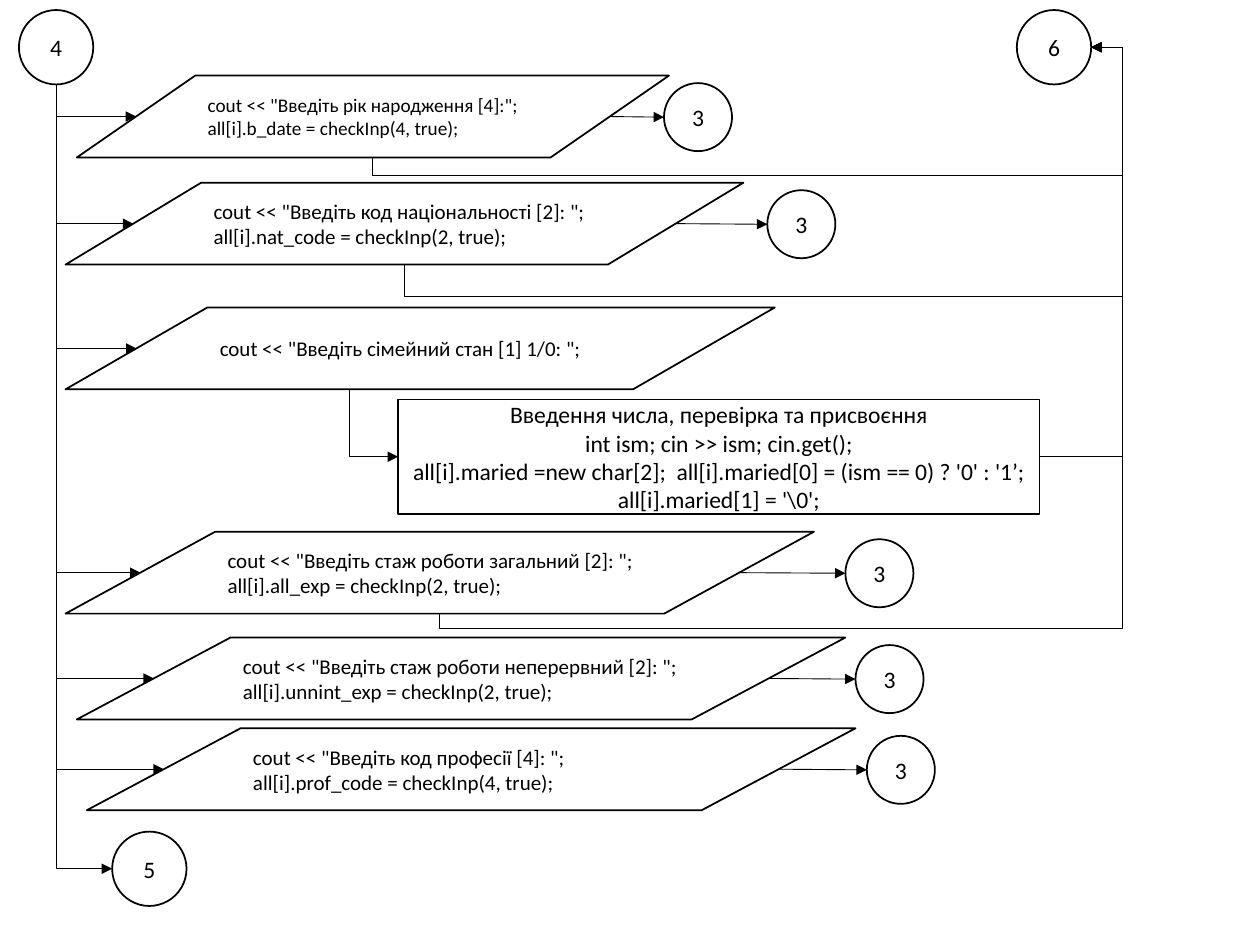
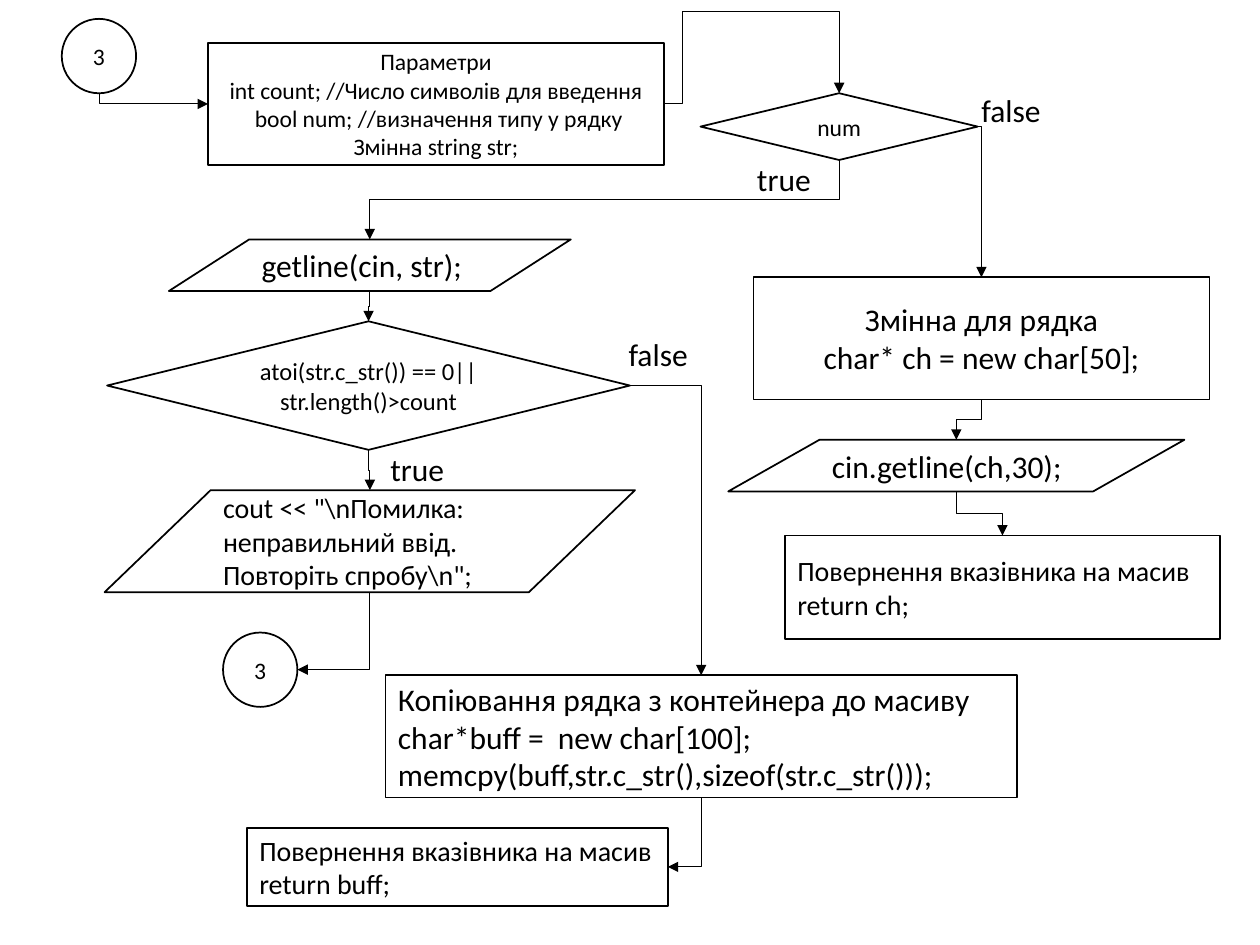
from dataclasses import dataclass

from lxml.etree import SubElement
from pptx import Presentation
from pptx.dml.color import RGBColor
from pptx.enum.shapes import MSO_CONNECTOR, MSO_SHAPE
from pptx.enum.text import MSO_ANCHOR, PP_ALIGN
from pptx.oxml.ns import qn
from pptx.util import Inches, Pt

COLORS = {"ink": "000000", "paper": "FFFFFF"}
FONT = "Calibri"
BIG_CIRCLE = 0.59
SMALL_CIRCLE = 0.54
ROW_HEIGHT = 0.65
SLANT = 0.1


@dataclass
class Box:
    left: float
    top: float
    width: float
    height: float

    def point(self, across, down):
        return self.left + across * self.width, self.top + down * self.height

    def place(self, left, top, width, height):
        return Box(self.left + left, self.top + top, width, height)

    @property
    def north(self):
        return self.point(0.5, 0)

    @property
    def south(self):
        return self.point(0.5, 1)

    @property
    def west(self):
        return self.point(0, 0.5)

    @property
    def east(self):
        return self.point(1, 0.5)

    def inches(self):
        return [Inches(value) for value in (self.left, self.top, self.width, self.height)]


def ink(name):
    return RGBColor.from_string(COLORS[name])


def write(shape, text, size=13.5, align=PP_ALIGN.LEFT, anchor=MSO_ANCHOR.MIDDLE, inset=(0.1, 0.05)):
    frame = shape.text_frame
    frame.word_wrap = True
    frame.vertical_anchor = anchor
    frame.margin_left = frame.margin_right = Inches(inset[0])
    frame.margin_top = frame.margin_bottom = Inches(inset[1])
    for index, line in enumerate(text.split("\n")):
        para = frame.paragraphs[0] if index == 0 else frame.add_paragraph()
        para.alignment = align
        span = para.add_run()
        span.text = line
        span.font.name = FONT
        span.font.size = Pt(size)
        span.font.color.rgb = ink("ink")


def node(page, kind, box, text, **text_format):
    shape = page.shapes.add_shape(kind, *box.inches())
    shape.shadow.inherit = False
    shape.fill.solid()
    shape.fill.fore_color.rgb = ink("paper")
    shape.line.color.rgb = ink("ink")
    shape.line.width = Pt(1)
    write(shape, text, **text_format)
    return box


def circle(page, box, text):
    return node(page, MSO_SHAPE.OVAL, box, text, align=PP_ALIGN.CENTER, inset=(0.07, 0.04))


def process(page, box, text, **text_format):
    return node(page, MSO_SHAPE.FLOWCHART_PROCESS, box, text, **text_format)


def data(page, box, text, **text_format):
    return node(page, MSO_SHAPE.FLOWCHART_DATA, box, text, **text_format)


def decision(page, box, text, **text_format):
    return node(page, MSO_SHAPE.FLOWCHART_DECISION, box, text, align=PP_ALIGN.CENTER, **text_format)


def label(page, box, text):
    write(page.shapes.add_textbox(*box.inches()), text, size=18, anchor=MSO_ANCHOR.TOP)


def style_arrow(connector):
    connector.line.color.rgb = ink("ink")
    connector.line.width = Pt(0.5)
    properties = connector._element.spPr
    SubElement(properties.find(qn("a:ln")), qn("a:tailEnd"), type="triangle")
    SubElement(properties, qn("a:effectLst"))


def arrow(page, start, end):
    ends = [Inches(value) for value in (*start, *end)]
    style_arrow(page.shapes.add_connector(MSO_CONNECTOR.STRAIGHT, *ends))


def elbow(page, *points):
    start, end = points[0], points[-1]
    delta_x, delta_y = end[0] - start[0], end[1] - start[1]
    vertical = abs(points[1][0] - start[0]) < 0.001
    width, height = abs(delta_x), abs(delta_y)
    if vertical:
        width, height = height, width
    left = (start[0] + end[0] - width) / 2
    top = (start[1] + end[1] - height) / 2
    corners = [Inches(value) for value in (left, top, left + width, top + height)]
    connector = page.shapes.add_connector(MSO_CONNECTOR.ELBOW, *corners)
    properties = connector._element.spPr
    frame = properties.find(qn("a:xfrm"))
    if vertical:
        down_right = delta_y > 0 and delta_x > 0
        frame.set("rot", str((270 if down_right else 90) * 60000))
        flip_h = down_right or delta_y < 0
        flip_v = delta_x > 0 and not down_right
    else:
        flip_h, flip_v = delta_x < 0, delta_y < 0
    frame.set("flipH", str(int(flip_h)))
    frame.set("flipV", str(int(flip_v)))
    geometry = properties.find(qn("a:prstGeom"))
    geometry.set("prst", f"bentConnector{len(points) - 1}")
    guides = geometry.find(qn("a:avLst"))
    if guides is None:
        guides = SubElement(geometry, qn("a:avLst"))
    for index in range(1, len(points) - 2):
        axis = (index - 1 + vertical) % 2
        share = (points[index][axis] - start[axis]) / (end[axis] - start[axis])
        SubElement(guides, qn("a:gd"), name=f"adj{index}", fmla=f"val {round(share * 100000)}")
    style_arrow(connector)


def corner(page, start, end, vertical_first=True):
    turn = (start[0], end[1]) if vertical_first else (end[0], start[1])
    elbow(page, start, turn, end)


def step(page, start, end):
    middle = (start[1] + end[1]) / 2
    elbow(page, start, (start[0], middle), (end[0], middle), end)


def input_row(page, box, text, entry, size=12, call_left=None):
    data(page, box, text, size=size)
    corner(page, entry, box.point(SLANT, 0.5))
    if call_left:
        call = box.place(call_left - box.left, 0.06, SMALL_CIRCLE, SMALL_CIRCLE)
        circle(page, call, "3")
        arrow(page, box.point(1 - SLANT, 0.5), call.west)


def record_input(page, box):
    entry = circle(page, box.place(0.15, 0.08, BIG_CIRCLE, BIG_CIRCLE), "4")
    leave = circle(page, box.place(8.07, 0.08, BIG_CIRCLE, BIG_CIRCLE), "6")
    finish = circle(page, box.place(0.89, 6.6, BIG_CIRCLE, BIG_CIRCLE), "5")
    bus = leave.east[0] + 0.25
    rows = [
        (0.61, 0.6, 4.7, 11, 5.27, 1.39,
         'cout << "Введіть рік наpодження [4]:";\nall[i].b_date = checkInp(4, true);'),
        (0.52, 1.45, 5.38, 12, 6.09, 2.35,
         'cout << "Введіть код національності [2]: ";\nall[i].nat_code = checkInp(2, true);'),
        (0.52, 2.44, 5.63, 12, None, None,
         'cout << "Введіть сімейний стан [1] 1/0: ";'),
        (0.52, 4.22, 5.94, 12, 6.71, 4.99,
         'cout << "Введіть стаж pоботи загальний [2]: ";\nall[i].all_exp = checkInp(2, true);'),
        (0.61, 5.06, 6.1, 12, 6.79, None,
         'cout << "Введіть стаж pоботи непеpеpвний [2]: ";\nall[i].unnint_exp = checkInp(2, true);'),
        (0.69, 5.78, 6.1, 12, 6.88, None,
         'cout << "Введіть код пpофесії [4]: ";\nall[i].prof_code = checkInp(4, true);'),
    ]
    for left, top, width, size, call_left, return_level, text in rows:
        row = box.place(left, top, width, ROW_HEIGHT)
        input_row(page, row, text, entry.south, size=size,
                  call_left=call_left and box.left + call_left)
        if return_level:
            level = box.top + return_level
            elbow(page, row.south, (row.south[0], level), (bus, level), (bus, leave.east[1]), leave.east)
    corner(page, entry.south, finish.west)

    married = process(
        page, box.place(3.16, 3.17, 5.09, 0.91),
        "Введення числа, перевірка та присвоєння\nint ism; cin >> ism; cin.get();\n"
        "all[i].maried =new char[2];  all[i].maried[0] = (ism == 0) ? '0' : '1’;\n"
        "all[i].maried[1] = '\\0';", align=PP_ALIGN.CENTER)
    corner(page, box.place(0.52, 2.44, 5.63, ROW_HEIGHT).point(0.4, 1), married.west)
    elbow(page, married.east, (bus, married.east[1]), (bus, leave.east[1]), leave.east)


def type_check(page, box):
    entry = circle(page, box.place(0.49, 0.15, BIG_CIRCLE, BIG_CIRCLE), "3")
    params = process(
        page, box.place(1.65, 0.34, 3.62, 0.97),
        "Параметри\nint count; //Число символів для введення\n"
        " bool num; //визначення типу у рядку\nЗмінна string str;", align=PP_ALIGN.CENTER)
    number = decision(page, box.place(5.56, 0.74, 2.2, 0.53), "num")
    label(page, box.place(7.69, 0.67, 0.73, 0.4), "false")
    label(page, box.place(5.91, 1.22, 0.73, 0.4), "true")
    corner(page, entry.south, params.west)
    turn, ceiling = params.east[0] + 0.15, box.top + 0.09
    elbow(page, params.east, (turn, params.east[1]), (turn, ceiling),
          (number.north[0], ceiling), number.north)
    return number


def number_branch(page, box, source):
    read = data(page, box.place(0.51, 0, 3.19, 0.41), "getline(cin, str);", size=18)
    check = decision(page, box.place(0.02, 0.65, 4.15, 1.02),
                     "atoi(str.c_str()) == 0||\nstr.length()>count", size=14)
    error = data(page, box.place(0, 1.99, 4.21, 0.81),
                 'cout << "\\nПомилка: неправильний ввід. Повторіть спробу\\n";', size=16)
    retry = circle(page, box.place(0.94, 3.12, BIG_CIRCLE, BIG_CIRCLE), "3")
    copy = process(page, box.place(2.23, 3.46, 5.01, 0.97),
                   "Копіювання рядка з контейнера до масиву\nchar*buff =  new char[100];\n"
                   "memcpy(buff,str.c_str(),sizeof(str.c_str()));", size=18)
    result = process(page, box.place(1.13, 4.67, 3.34, 0.62),
                     "Повернення вказівника на масив\nreturn buff;", size=16)
    label(page, box.place(2.17, 1.62, 0.73, 0.4), "true")
    label(page, box.place(4.06, 0.71, 0.73, 0.4), "false")
    step(page, source, read.north)
    step(page, read.south, check.north)
    step(page, check.south, error.north)
    corner(page, error.south, retry.east)
    corner(page, check.east, copy.north, vertical_first=False)
    corner(page, copy.south, result.east)


def text_branch(page, box, source):
    buffer = process(page, box.place(0.2, 0, 3.62, 0.97),
                     "Змінна для рядка\nchar* ch = new char[50];", size=18, align=PP_ALIGN.CENTER)
    read = data(page, box.place(0, 1.29, 3.62, 0.41), "cin.getline(ch,30);", size=18)
    result = process(page, box.place(0.45, 2.05, 3.45, 0.82),
                     "Повернення вказівника на масив\nreturn ch;", size=16)
    corner(page, source, buffer.north, vertical_first=False)
    step(page, buffer.south, read.north)
    step(page, read.south, result.north)


def checked_input(page, box):
    number = type_check(page, box)
    number_branch(page, box.place(0.83, 1.9, 7.24, 5.29), number.south)
    text_branch(page, box.place(5.78, 2.2, 3.9, 2.87), number.east)


def main():
    deck = Presentation()
    deck.slide_width, deck.slide_height = Inches(10), Inches(7.5)
    for draw in (record_input, checked_input):
        draw(deck.slides.add_slide(deck.slide_layouts[6]), Box(0, 0, 10, 7.5))
    deck.save("out.pptx")


if __name__ == "__main__":
    main()
